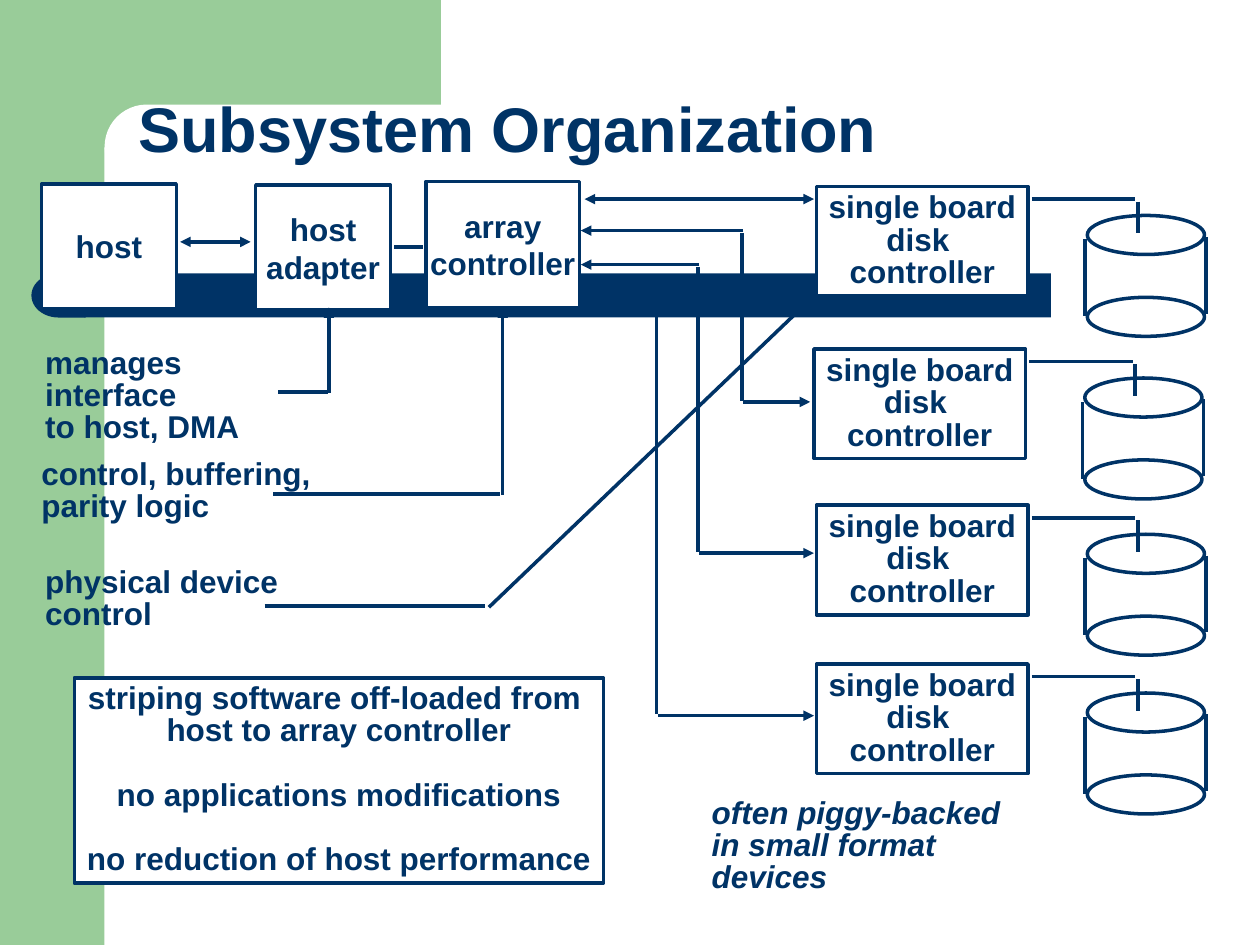
from pptx import Presentation
from pptx.dml.color import RGBColor
from pptx.enum.shapes import MSO_CONNECTOR, MSO_SHAPE
from pptx.enum.text import MSO_ANCHOR, PP_ALIGN
from pptx.oxml.ns import qn
from pptx.util import Inches, Pt
from lxml import etree

NAVY, GREEN, WHITE = "003366", "99CC99", "FFFFFF"


def color(value):
    return RGBColor.from_string(value)


def add_shape(s, kind, x, y, w, h, fill=WHITE, line=None, adj=None):
    sp = s.shapes.add_shape(kind, Inches(x), Inches(y), Inches(w), Inches(h))
    sp.shadow.inherit = False
    sp.fill.solid()
    sp.fill.fore_color.rgb = color(fill)
    if line:
        sp.line.color.rgb = color(line)
        sp.line.width = Pt(2)
    else:
        sp.line.fill.background()
    if adj is not None:
        sp.adjustments[0] = adj
    return sp


def add_line(s, x1, y1, x2, y2, head=False, tail=False):
    cn = s.shapes.add_connector(
        MSO_CONNECTOR.STRAIGHT, Inches(x1), Inches(y1), Inches(x2), Inches(y2))
    cn.line.color.rgb = color(NAVY)
    cn.line.width = Pt(2)
    ln = cn.line._get_or_add_ln()
    for tag, shown in (("a:headEnd", head), ("a:tailEnd", tail)):
        if shown:
            etree.SubElement(ln, qn(tag), type="triangle")
    etree.SubElement(cn._element.spPr, qn("a:effectLst"))


def write(sp, lines, align=PP_ALIGN.CENTER, anchor=MSO_ANCHOR.MIDDLE,
          spacing=1.0, gap=0, wrap=False, **extra):
    tf = sp.text_frame
    tf.word_wrap = wrap
    tf.vertical_anchor = anchor
    font = {"name": "Arial", "size": Pt(18), "bold": True, **extra}
    for i, text in enumerate(lines):
        p = tf.paragraphs[0] if i == 0 else tf.add_paragraph()
        p.alignment = align
        p.line_spacing = spacing
        if gap and i > 1:
            p.space_before = Pt(gap)
        r = p.add_run()
        r.text = text
        for key, value in font.items():
            setattr(r.font, key, value)
        r.font.color.rgb = color(NAVY)


def add_box(s, x, y, w, h, lines, **style):
    write(add_shape(s, MSO_SHAPE.RECTANGLE, x, y, w, h, line=NAVY), lines, **style)


def add_label(s, x, y, w, h, lines, **style):
    style = {"align": PP_ALIGN.LEFT, "anchor": MSO_ANCHOR.TOP, "spacing": 0.85, **style}
    tb = s.shapes.add_textbox(Inches(x), Inches(y), Inches(w), Inches(h))
    write(tb, lines, **style)


def add_backdrop(s, w, h):
    add_shape(s, MSO_SHAPE.RECTANGLE, 0, 0, 0.83, h, GREEN)
    add_shape(s, MSO_SHAPE.RECTANGLE, 0.75, 0, 2.75, 1.17, GREEN)
    add_shape(s, MSO_SHAPE.ROUNDED_RECTANGLE, 0.83, 0.83, 5.58, 0.67, adj=0.5)
    add_shape(s, MSO_SHAPE.RECTANGLE, 0.67, 2.17, w - 2.33, 0.35, NAVY)
    cap = add_shape(s, MSO_SHAPE.FLOWCHART_DELAY, 0.25, 2.17, 0.43, 0.35, NAVY)
    cap._element.spPr.xfrm.set("flipH", "1")


def add_disk(s, x, y, w, h):
    for top in (y, y + h - 0.31):
        add_shape(s, MSO_SHAPE.OVAL, x, top, w, 0.31, line=NAVY)
    add_line(s, x - 0.02, y + 0.19, x - 0.02, y + 0.8)
    add_line(s, x + w + 0.01, y + 0.17, x + w + 0.01, y + 0.78)


def add_disk_unit(s, x, y, w, h):
    add_box(s, x, y, w, h, ["single board", "disk ", "controller"], spacing=0.86)
    add_disk(s, x + w + 0.47, y + 0.23, 0.93, 0.96)
    add_line(s, x + w + 0.03, y + 0.1, x + w + 0.85, y + 0.1)
    add_line(s, x + w + 0.87, y + 0.12, x + w + 0.87, y + 0.37)


def add_array_links(s, x, y, right):
    add_line(s, x + 0.03, y, right, y, head=True, tail=True)
    links = [(1.28, 1.83, 3.19, 6.43), (0.93, 2.1, 4.39, right), (0.6, 2.33, 5.68, right)]
    for dx, top, bottom, end in links:
        bend = x + dx
        add_line(s, bend, top + 0.02, bend, bottom - 0.01)
        add_line(s, bend + 0.01, bottom, end, bottom, tail=True)
        add_line(s, bend + 0.01, top, x, top, tail=True)


def add_host_chain(s, x, y, w, h):
    add_box(s, x, y + 0.02, w, h, ["host"])
    add_box(s, x + 1.7, y + 0.03, w, h, ["host", "adapter"])
    add_box(s, x + 3.05, y, 1.22, 1, ["array", "controller"])
    add_line(s, x + 2.8, y + 0.52, x + 3.03, y + 0.52)
    add_line(s, x + 1.1, y + 0.48, x + 1.66, y + 0.48, head=True, tail=True)


def add_note(s, x, y, w, h, lines, lead, pointer):
    add_label(s, x, y, w, h, lines)
    x1, x2, level = lead
    add_line(s, x1, level, x2, level)
    add_line(s, *pointer, tail=True)


def add_notes(s, x, h):
    notes = [
        (x, 2.72, 2.39, ["manages interface", "to host, DMA"],
         (2.21, 2.6, 3.11), (2.61, 3.12, 2.61, 2.44)),
        (x - 0.03, 3.6, 2.34, ["control, buffering,", "parity logic"],
         (2.17, 3.97, 3.92), (3.99, 3.93, 3.99, 2.44)),
        (x, 4.46, 2.05, ["physical device", "control"],
         (2.1, 3.85, 4.81), (3.88, 4.82, 6.46, 2.35)),
    ]
    for left, top, w, lines, lead, pointer in notes:
        add_note(s, left, top, w, h, lines, lead, pointer)


def main():
    prs = Presentation()
    prs.slide_width, prs.slide_height = Inches(10), Inches(7.5)
    s = prs.slides.add_slide(prs.slide_layouts[6])
    add_backdrop(s, 10, 7.5)
    add_label(s, 1, 0.42, 8.06, 1.25, ["Subsystem Organization"], size=Pt(36),
              anchor=MSO_ANCHOR.MIDDLE, spacing=0.9, wrap=True)
    for x, y in ((6.48, 1.48), (6.46, 2.77), (6.48, 4.01), (6.48, 5.27)):
        add_disk_unit(s, x, y, 1.68, 0.87)
    add_array_links(s, 4.61, 1.58, 6.46)
    add_host_chain(s, 0.33, 1.44, 1.07, 0.99)
    add_notes(s, 0.26, 0.61)
    add_label(s, 5.55, 6.29, 2.96, 0.61,
              ["often piggy-backed", "in small format devices"], italic=True)
    add_box(s, 0.59, 5.38, 4.2, 1.63,
            ["striping software off-loaded from ", "host to array controller",
             "no applications modifications", "no reduction of host performance"],
            spacing=0.85, gap=18.4)
    prs.save("out.pptx")


if __name__ == "__main__":
    main()
